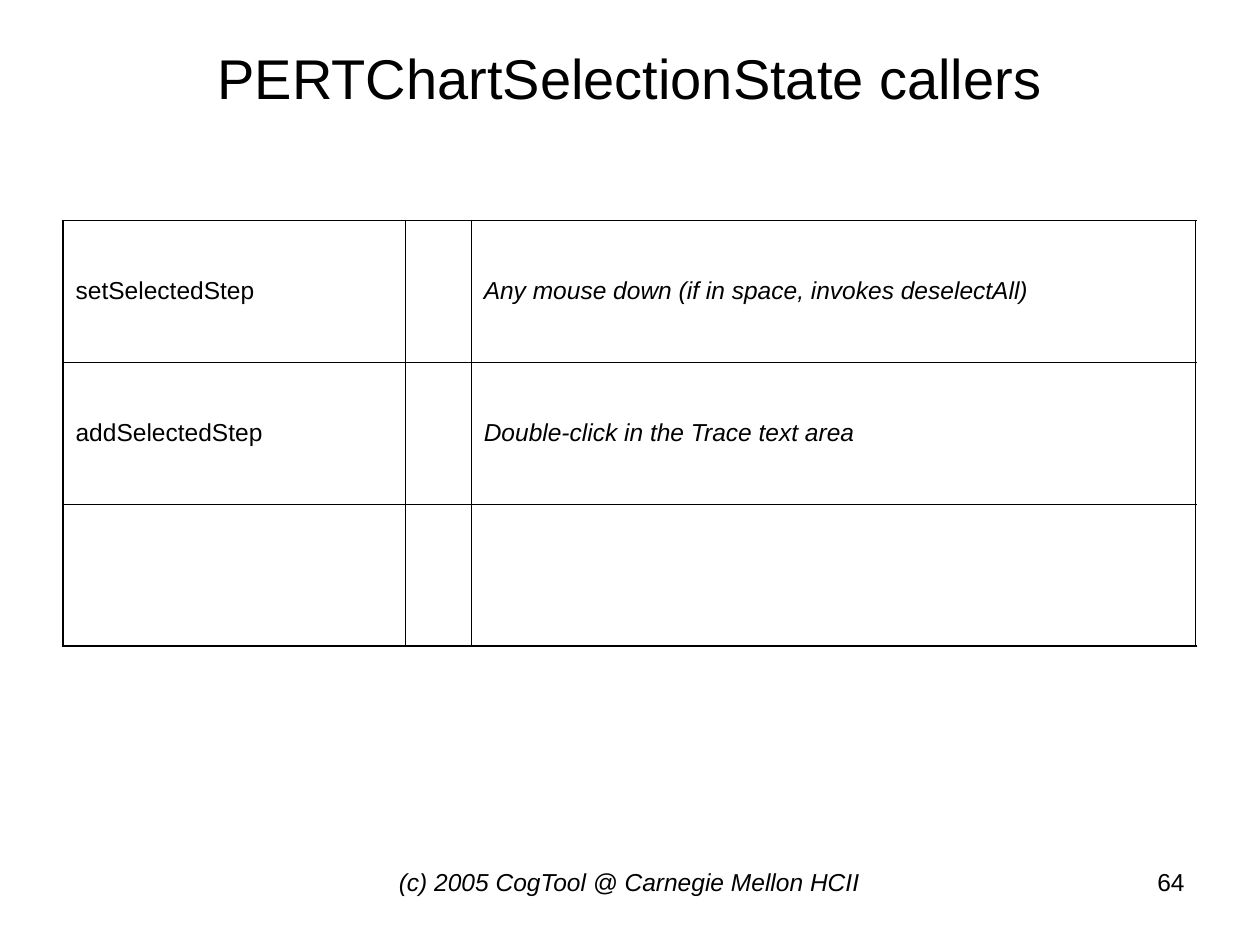
import dataclasses
import typing

import lxml.etree
import pptx
import pptx.dml.color
import pptx.enum.text
import pptx.oxml.ns
import pptx.util

Inches = pptx.util.Inches
Pt = pptx.util.Pt
Align = pptx.enum.text.PP_ALIGN
Anchor = pptx.enum.text.MSO_ANCHOR


@dataclasses.dataclass(frozen=True)
class Theme:
    font: str = "Arial"
    ink: str = "000000"
    paper: str = "FFFFFF"
    title_size: float = 32
    text_size: float = 14
    outer_line: float = 1.08
    inner_line: float = 0.45


@dataclasses.dataclass(frozen=True)
class FooterItem:
    text: str
    left: float
    width: float
    align: Align
    italic: bool = False


@dataclasses.dataclass(frozen=True)
class Caller:
    method: str = ""
    note: str = ""
    trigger: str = ""


THEME = Theme()
COLUMN_WIDTHS = (2.72, 0.52, 5.75)
ROW_HEIGHT = 1.125
FOOTER_TOP, FOOTER_HEIGHT = 6.83, 0.52

CALLERS = (
    Caller("setSelectedStep", trigger="Any mouse down (if in space, invokes deselectAll)"),
    Caller("addSelectedStep", trigger="Double-click in the Trace text area"),
    Caller(),
)
FOOTER = (
    FooterItem("(c) 2005 CogTool @ Carnegie Mellon HCII", 2.83, 4.33, Align.CENTER, italic=True),
    FooterItem("64", 7.17, 2.33, Align.RIGHT),
)


def add_text(frame: typing.Any, text: str, size: float, align: Align, italic: bool = False) -> None:
    """Write one styled run into the first paragraph of a text frame."""
    para = frame.paragraphs[0]
    para.alignment = align
    span = para.add_run()
    span.text = text
    span.font.name = THEME.font
    span.font.size = Pt(size)
    span.font.bold = False
    span.font.italic = italic
    span.font.color.rgb = pptx.dml.color.RGBColor.from_string(THEME.ink)


def set_borders(cell: typing.Any, outer: dict[str, bool]) -> None:
    """Draw the four cell borders, heavier on the table's outer edge."""
    qn = pptx.oxml.ns.qn
    properties = cell._tc.get_or_add_tcPr()
    for position, (side, is_outer) in enumerate(outer.items()):
        weight = THEME.outer_line if is_outer else THEME.inner_line
        line = lxml.etree.Element(qn(f"a:ln{side}"), w=str(Pt(weight)))
        fill = lxml.etree.SubElement(line, qn("a:solidFill"))
        lxml.etree.SubElement(fill, qn("a:srgbClr"), val=THEME.ink)
        properties.insert(position, line)


def add_caller_table(page: typing.Any, left: float, top: float) -> None:
    row_count, column_count = len(CALLERS), len(COLUMN_WIDTHS)
    frame = page.shapes.add_table(
        row_count, column_count, Inches(left), Inches(top),
        Inches(sum(COLUMN_WIDTHS)), Inches(ROW_HEIGHT * row_count))
    table = frame.table
    table.first_row = table.horz_banding = False
    for column, width in zip(table.columns, COLUMN_WIDTHS):
        column.width = Inches(width)

    for row, caller in enumerate(CALLERS):
        for column, text in enumerate(dataclasses.astuple(caller)):
            cell = table.cell(row, column)
            cell.fill.background()
            cell.vertical_anchor = Anchor.MIDDLE
            set_borders(cell, {
                "L": column == 0,
                "R": column == column_count - 1,
                "T": row == 0,
                "B": row == row_count - 1,
            })
            if text:
                add_text(cell.text_frame, text, THEME.text_size, Align.LEFT,
                         italic=column == column_count - 1)


def add_footer_item(page: typing.Any, item: FooterItem) -> None:
    box = page.shapes.add_textbox(Inches(item.left), Inches(FOOTER_TOP),
                                  Inches(item.width), Inches(FOOTER_HEIGHT))
    box.text_frame.word_wrap = True
    add_text(box.text_frame, item.text, THEME.text_size, item.align, item.italic)


def main() -> None:
    deck = pptx.Presentation()
    deck.slide_width, deck.slide_height = Inches(10), Inches(7.5)
    page = deck.slides.add_slide(deck.slide_layouts.get_by_name("Title Only"))
    page.background.fill.solid()
    page.background.fill.fore_color.rgb = pptx.dml.color.RGBColor.from_string(THEME.paper)

    # Title
    title = page.shapes.title
    title.left, title.top = Inches(0.5), Inches(0.3)
    title.width, title.height = Inches(9), Inches(0.62)
    title.text_frame.vertical_anchor = Anchor.MIDDLE
    title.text_frame.auto_size = pptx.enum.text.MSO_AUTO_SIZE.NONE
    add_text(title.text_frame, "PERTChartSelectionState callers", THEME.title_size, Align.CENTER)

    # Methods and what calls them
    add_caller_table(page, left=0.5, top=1.75)

    # Copyright line and page number
    for item in FOOTER:
        add_footer_item(page, item)

    deck.save("out.pptx")


if __name__ == "__main__":
    main()
